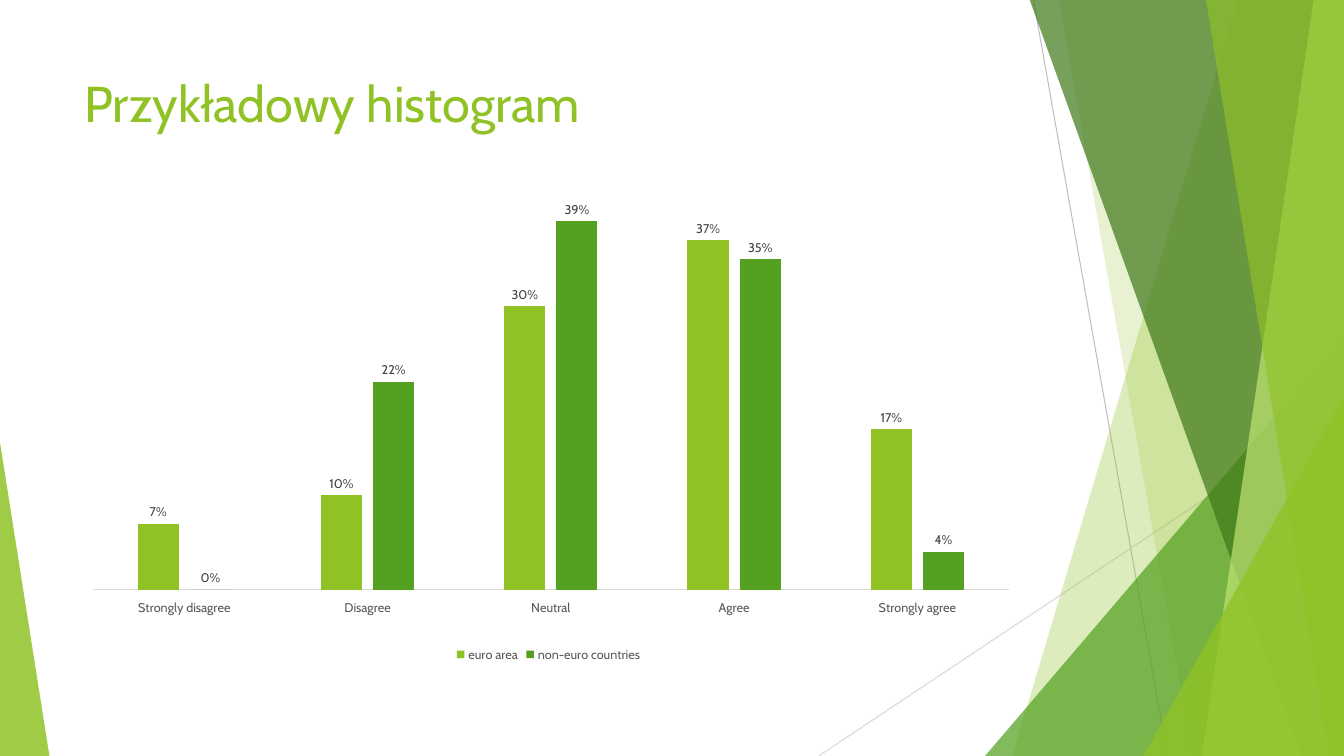
from lxml import etree
from pptx import Presentation
from pptx.chart.data import CategoryChartData
from pptx.dml.color import RGBColor
from pptx.enum.chart import XL_CHART_TYPE as Kind, XL_LABEL_POSITION as Spot
from pptx.enum.chart import XL_LEGEND_POSITION as Side, XL_TICK_MARK as Tick
from pptx.enum.chart import XL_TICK_LABEL_POSITION as Place
from pptx.enum.shapes import MSO_CONNECTOR as Line, MSO_SHAPE as Form
from pptx.enum.text import MSO_ANCHOR as Anchor
from pptx.oxml import parse_xml
from pptx.oxml.ns import nsdecls, qn
from pptx.util import Inches, Pt

WIDE, HIGH, TOP = 13.33, 7.5, -0.01
FONT = "Cabin"
HUES = {"lime": "90C226", "green": "54A021", "dark": "3F7819", "pale": "C0E474",
        "silver": "BFBFBF", "rule": "D9D9D9", "label": "404040", "axis": "595959"}

TITLE = "Przykładowy histogram"
CATS = ["Strongly disagree", "Disagree", "Neutral", "Agree", "Strongly agree"]
SERIES = [
    ("euro area", "lime", [0.07, 0.10, 0.30, 0.37, 0.17]),
    ("non-euro countries", "green", [0, 0.22, 0.39, 0.35, 0.04]),
]
LINES = [((10.25, 0), (11.58, HIGH), "silver"), ((WIDE, 4.03), (8.12, HIGH), "rule")]
FACETS = [
    ("band", 12.28, 10.04, "lime", 30),
    ("band", 10.50, 11.83, "lime", 20),
    ("wedge", (9.77, 3.33, 3.56), 1, "green", 72),
    ("band", 10.21, 12.91, "dark", 70),
    ("band", 13.03, 11.92, "pale", 70),
    ("band", 11.96, 13.18, "lime", 65),
    ("wedge", (11.34, 3.93, 1.99), 1, "lime", 80),
    ("wedge", (0, 4.39, 0.49), 0, "lime", 85),
]
FRAME = [Inches(n) for n in (0.74, 1.45, 9.4, 5.16)]
PLOT = {"x": 0.019, "y": 0.036, "w": 0.967, "h": 0.817}


def hue(name):
    return RGBColor.from_string(HUES[name])


def paint(shape, name, alpha):
    shape.shadow.inherit = False
    shape.line.fill.background()
    shape.fill.solid()
    shape.fill.fore_color.rgb = hue(name)
    color = shape.fill._xPr.find(qn("a:solidFill"))[0]
    etree.SubElement(color, qn("a:alpha")).set("val", str(alpha * 1000))


def style(font, size, name):
    font.name, font.size = FONT, Pt(size)
    font.color.rgb = hue(name)


def band(shapes, top, foot):
    pts = [(Inches(x), Inches(y)) for x, y in
           [(top, TOP), (WIDE, TOP), (WIDE, HIGH), (foot, HIGH)]]
    form = shapes.build_freeform(*pts[0], scale=1.0)
    form.add_line_segments(pts[1:], close=True)
    return form.convert_to_shape()


def wedge(shapes, box, peak):
    left, top, width = box
    shape = shapes.add_shape(Form.ISOSCELES_TRIANGLE, Inches(left), Inches(top),
                             Inches(width), Inches(HIGH - top))
    shape.adjustments[0] = peak
    return shape


def draw_back(shapes):
    for start, end, name in LINES:
        ends = [Inches(n) for n in start + end]
        line = shapes.add_connector(Line.STRAIGHT, *ends)
        line.line.color.rgb = hue(name)
        line.line.width = Pt(0.75)
        etree.SubElement(line._element.spPr, qn("a:effectLst"))
    make = {"band": band, "wedge": wedge}
    for kind, first, last, name, alpha in FACETS:
        paint(make[kind](shapes, first, last), name, alpha)


def draw_title(shapes):
    box = shapes.add_textbox(Inches(0.74), Inches(0.67), Inches(9.4), Inches(1.44))
    frame = box.text_frame
    frame.word_wrap = True
    frame.vertical_anchor = Anchor.TOP
    frame.text = TITLE
    style(frame.paragraphs[0].runs[0].font, 36, "lime")


def draw_chart(shapes):
    data = CategoryChartData(number_format="0%")
    data.categories = CATS
    for name, _, vals in SERIES:
        data.add_series(name, vals)
    chart = shapes.add_chart(Kind.COLUMN_CLUSTERED, *FRAME, data).chart
    chart.has_title = False
    chart.font.name, chart.font.size = FONT, Pt(10)

    chart.has_legend = True
    chart.legend.position = Side.BOTTOM
    chart.legend.include_in_layout = False
    style(chart.legend.font, 9, "axis")

    cat = chart.category_axis
    cat.major_tick_mark = cat.minor_tick_mark = Tick.NONE
    cat.tick_label_position = Place.LOW
    cat.format.line.color.rgb = hue("rule")
    cat.format.line.width = Pt(0.75)
    style(cat.tick_labels.font, 9, "axis")

    val = chart.value_axis
    val.minimum_scale, val.maximum_scale = 0, 0.45
    val.has_major_gridlines = False
    val.visible = False

    plot = chart.plots[0]
    plot.gap_width, plot.overlap = 219, -27
    plot.vary_by_categories = False
    for bars, (_, name, _) in zip(plot.series, SERIES):
        bars.format.fill.solid()
        bars.format.fill.fore_color.rgb = hue(name)
        bars.invert_if_negative = False
        tags = bars.data_labels
        tags.show_value = True
        tags.position = Spot.OUTSIDE_END
        tags.number_format, tags.number_format_is_linked = "0%", False
        style(tags.font, 9, "label")

    area = chart._chartSpace.chart.plotArea
    for old in area.findall(qn("c:layout")):
        area.remove(old)
    parts = '<c:layoutTarget val="inner"/><c:xMode val="edge"/><c:yMode val="edge"/>'
    parts += "".join(f'<c:{key} val="{num}"/>' for key, num in PLOT.items())
    area.insert(0, parse_xml(f'<c:layout {nsdecls("c")}><c:manualLayout>{parts}'
                             "</c:manualLayout></c:layout>"))


def main():
    deck = Presentation()
    deck.slide_width, deck.slide_height = Inches(WIDE), Inches(HIGH)
    shapes = deck.slides.add_slide(deck.slide_layouts[6]).shapes
    draw_back(shapes)
    draw_title(shapes)
    draw_chart(shapes)
    deck.save("out.pptx")


if __name__ == "__main__":
    main()
